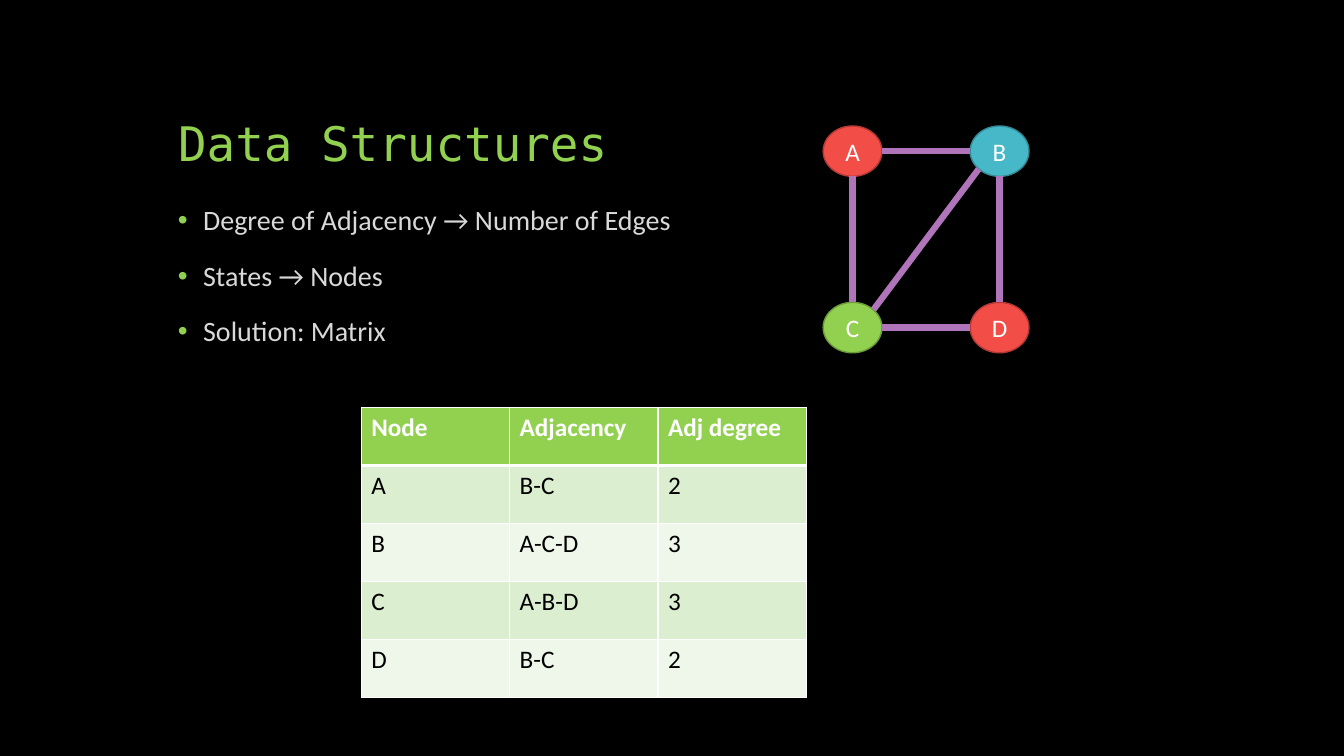
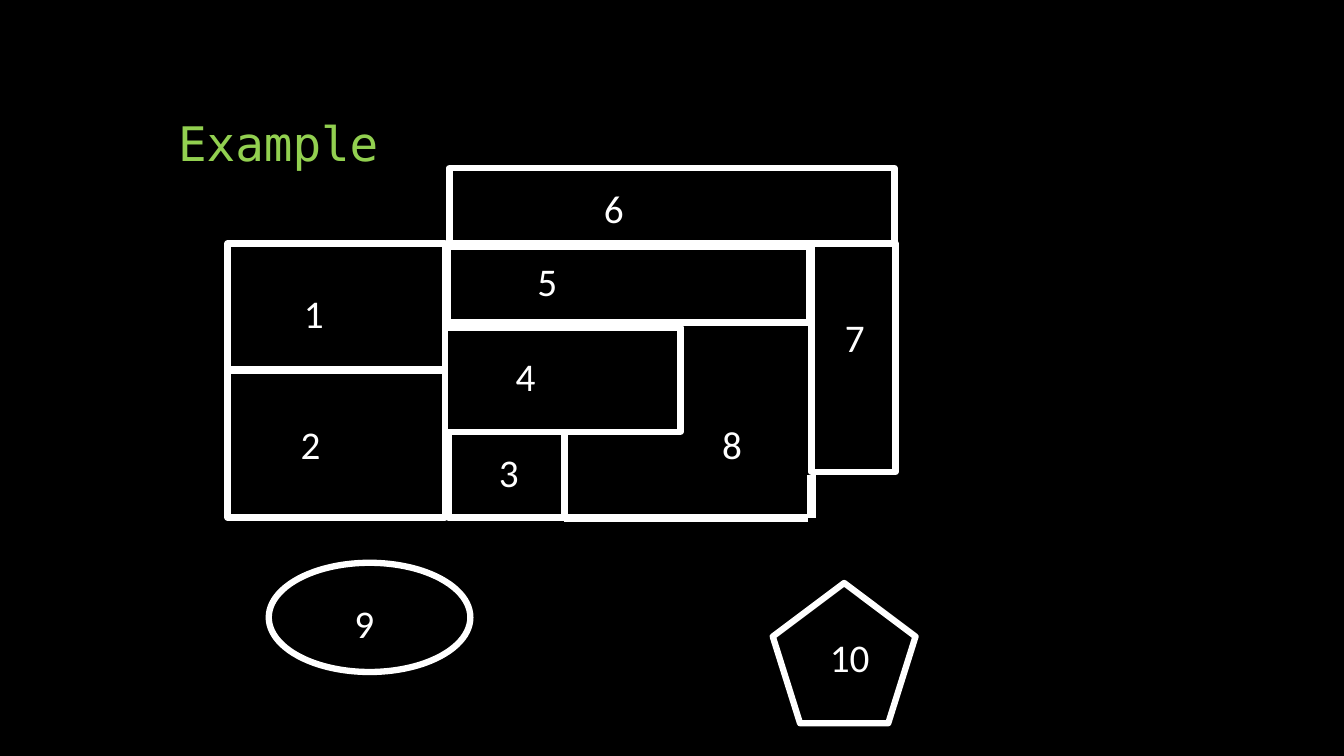
import pptx
import pptx.dml.color
import pptx.enum.shapes
import pptx.enum.text
import pptx.oxml
import pptx.oxml.ns
import pptx.util
from lxml import etree

COLUMNS, ROWS = 160, 90  # grid of the slide
BODY_FONT, TITLE_FONT = "Calibri", "DejaVu Sans Mono"
BLACK, WHITE, GREEN = "000000", "FFFFFF", "92D050"
RED, BLUE, PURPLE, PALE_GREY = "F34D47", "47B8C7", "B074BA", "D9D9D9"
ROW_TINTS = ("DCEED0", "EEF7E9")

SHAPE = pptx.enum.shapes.MSO_SHAPE
ALIGN = pptx.enum.text.PP_ALIGN
ANCHOR = pptx.enum.text.MSO_ANCHOR
AUTO_SIZE = pptx.enum.text.MSO_AUTO_SIZE
Pt = pptx.util.Pt
qn = pptx.oxml.ns.qn


def rgb(value):
    return pptx.dml.color.RGBColor.from_string(value)


def paint(fill, color):
    fill.solid()
    fill.fore_color.rgb = rgb(color)


def style_line(line, color, width):
    line.color.rgb = rgb(color)
    line.width = Pt(width)


def style_text(frame, size, color, font=BODY_FONT, bold=False, align=ALIGN.LEFT):
    for paragraph in frame.paragraphs:
        paragraph.alignment = align
        for run in paragraph.runs:
            run.font.size, run.font.name, run.font.bold = Pt(size), font, bold
            run.font.color.rgb = rgb(color)


def add_bullet(paragraph, color):
    properties = paragraph._p.get_or_add_pPr()
    indent = pptx.util.Inches(0.25)
    properties.set("marL", str(indent))
    properties.set("indent", str(-indent))
    bullet_color = etree.SubElement(properties, qn("a:buClr"))
    etree.SubElement(bullet_color, qn("a:srgbClr"), val=color)
    etree.SubElement(properties, qn("a:buFont"), typeface="Arial")
    etree.SubElement(properties, qn("a:buChar"), char="•")


def add_cell_borders(cell, color, **widths):
    """Draw the borders named L, R, T and B with widths in points."""
    properties = cell._tc.get_or_add_tcPr()
    for side in "LRTB":
        border = etree.SubElement(properties, qn(f"a:ln{side}"), w=str(Pt(widths[side])))
        border_fill = etree.SubElement(border, qn("a:solidFill"))
        etree.SubElement(border_fill, qn("a:srgbClr"), val=color)


class Deck:
    """The shared style and the slide being filled; lengths are grid units."""

    def __init__(self):
        self.prs = pptx.Presentation()
        self.prs.slide_width = pptx.util.Inches(13.333)
        self.prs.slide_height = pptx.util.Inches(7.5)
        paint(self.prs.slide_master.background.fill, BLACK)
        self.slide = None

    def x(self, columns):
        return round(self.prs.slide_width * columns / COLUMNS)

    def y(self, rows):
        return round(self.prs.slide_height * rows / ROWS)

    def box(self, left, top, width, height):
        return self.x(left), self.y(top), self.x(width), self.y(height)

    def new_slide(self, heading):
        self.slide = self.prs.slides.add_slide(self.prs.slide_layouts[5])
        title = self.slide.shapes.title
        title.left, title.top, title.width, title.height = self.box(20, 6, 120, 15)
        frame = title.text_frame
        frame.text = heading
        frame.auto_size = AUTO_SIZE.NONE
        frame.vertical_anchor = ANCHOR.BOTTOM
        frame.paragraphs[0].line_spacing = 0.9
        style_text(frame, 34, GREEN, TITLE_FONT)

    def text(self, content, place, size, color):
        frame = self.slide.shapes.add_textbox(*self.box(*place)).text_frame
        frame.word_wrap = True
        frame.text = content
        style_text(frame, size, color)
        return frame

    def bullets(self, items, place):
        frame = self.text("\n".join(items), place, 20, PALE_GREY)
        for paragraph in frame.paragraphs:
            paragraph.line_spacing = 0.9
            paragraph.space_before = Pt(18)
            add_bullet(paragraph, GREEN)

    def outline(self, kind, place, color=WHITE, width=4.5):
        shape = self.slide.shapes.add_shape(kind, *self.box(*place))
        shape.shadow.inherit = False
        shape.fill.background()
        style_line(shape.line, color, width)
        return shape

    def node(self, label, place, fill, border):
        circle = self.outline(SHAPE.OVAL, place, border, 1)
        paint(circle.fill, fill)
        frame = circle.text_frame
        frame.text = label
        frame.word_wrap = False
        frame.vertical_anchor = ANCHOR.MIDDLE
        style_text(frame, 18, WHITE, align=ALIGN.CENTER)

    def line(self, start, end, color, width):
        connector = self.slide.shapes.add_connector(
            pptx.enum.shapes.MSO_CONNECTOR.STRAIGHT,
            self.x(start[0]), self.y(start[1]), self.x(end[0]), self.y(end[1]))
        style_line(connector.line, color, width)
        etree.SubElement(connector._element.spPr, qn("a:effectLst"))

    def table(self, rows, place):
        table = self.slide.shapes.add_table(len(rows), len(rows[0]), *self.box(*place)).table
        for r, values in enumerate(rows):
            header = r == 0
            table.rows[r].height = self.y(place[3] / len(rows))
            for c, value in enumerate(values):
                cell = table.cell(r, c)
                cell.text = value
                style_text(cell.text_frame, 18, WHITE if header else BLACK, bold=header)
                add_cell_borders(cell, WHITE, L=1, R=1,
                                 T=3 if r == 1 else 1, B=3 if header else 1)
                paint(cell.fill, GREEN if header else ROW_TINTS[(r - 1) % 2])


def build_data_structures(deck):
    deck.new_slide("Data Structures")
    deck.bullets(["Degree of Adjacency → Number of Edges", "States → Nodes",
                  "Solution: Matrix"], (20, 24, 120, 56))

    node_width, node_height = 7, 6
    nodes = {
        "A": (98, 15, RED, "B43935"),
        "D": (115.5, 36, RED, "B43935"),
        "B": (115.5, 15, BLUE, "358893"),
        "C": (98, 36, GREEN, "6C9A3B"),
    }
    for name, (left, top, fill, border) in nodes.items():
        deck.node(name, (left, top, node_width, node_height), fill, border)

    def rim(name, across, down):
        """Point on a node's rim, as shares of its radii from the centre."""
        left, top = nodes[name][:2]
        return left + node_width * (1 + across) / 2, top + node_height * (1 + down) / 2

    diagonal = 0.71
    edges = [("A", "C", 0, 1), ("D", "C", -1, 0), ("B", "D", 0, 1),
             ("B", "A", -1, 0), ("B", "C", -diagonal, diagonal)]
    for start, end, across, down in edges:
        deck.line(rim(start, across, down), rim(end, -across, -down), PURPLE, 4.5)

    deck.table([
        ("Node", "Adjacency", "Adj degree"),
        ("A", "B-C", "2"),
        ("B", "A-C-D", "3"),
        ("C", "A-B-D", "3"),
        ("D", "B-C", "2"),
    ], (43, 48.5, 53, 34.6))


def build_example(deck):
    deck.new_slide("Example")
    regions = [
        (SHAPE.RECTANGLE, (53.5, 20, 53, 9)),
        (SHAPE.RECTANGLE, (53.3, 29.4, 43, 9)),
        (SHAPE.RECTANGLE, (96.6, 29, 10, 27.2)),
        (SHAPE.RECTANGLE, (27.1, 29, 25.9, 15)),
        (SHAPE.RECTANGLE, (27.1, 44.1, 25.9, 17.5)),
        (SHAPE.RECTANGLE, (53.4, 51.4, 13.8, 10.2)),
        (SHAPE.RECTANGLE, (53, 39, 28, 12.4)),
        (SHAPE.OVAL, (32, 67, 24, 13)),
        (SHAPE.REGULAR_PENTAGON, (92, 69.4, 17, 16.7)),
    ]
    for kind, place in regions:
        deck.outline(kind, place)

    # Lower and right edges that close region 8
    deck.line((67.1, 61.7), (96.2, 61.7), WHITE, 6)
    deck.line((96.6, 61.7), (96.6, 56.6), WHITE, 6)

    number_corners = [(35, 33.8), (34.6, 49.4), (58.2, 52.8), (60.2, 41.3), (62.8, 30),
                      (70.7, 21.4), (99.4, 36.7), (84.8, 49.4), (41, 70.8), (97.6, 74.8)]
    for number, corner in enumerate(number_corners, start=1):
        deck.text(str(number), (*corner, 8, 6.8), 28, WHITE)


def main():
    deck = Deck()
    build_data_structures(deck)
    build_example(deck)
    deck.prs.save("out.pptx")


if __name__ == "__main__":
    main()
